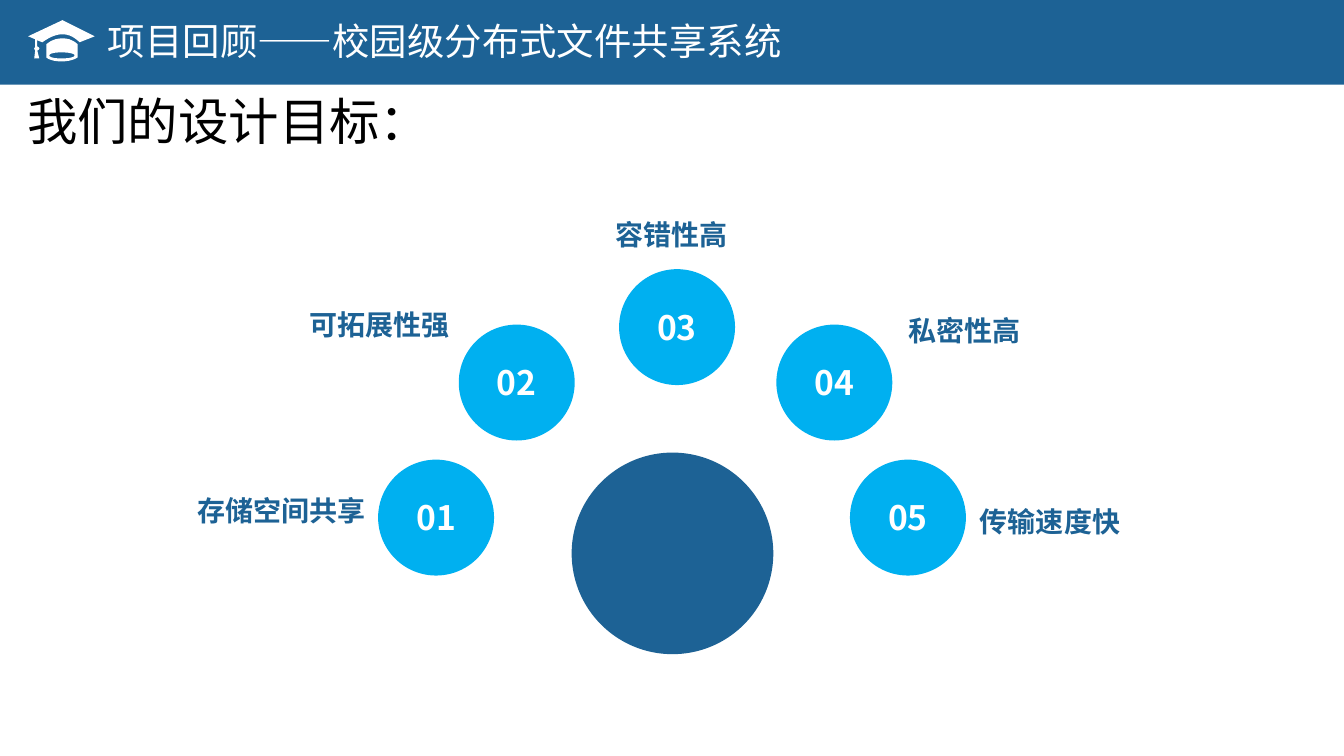
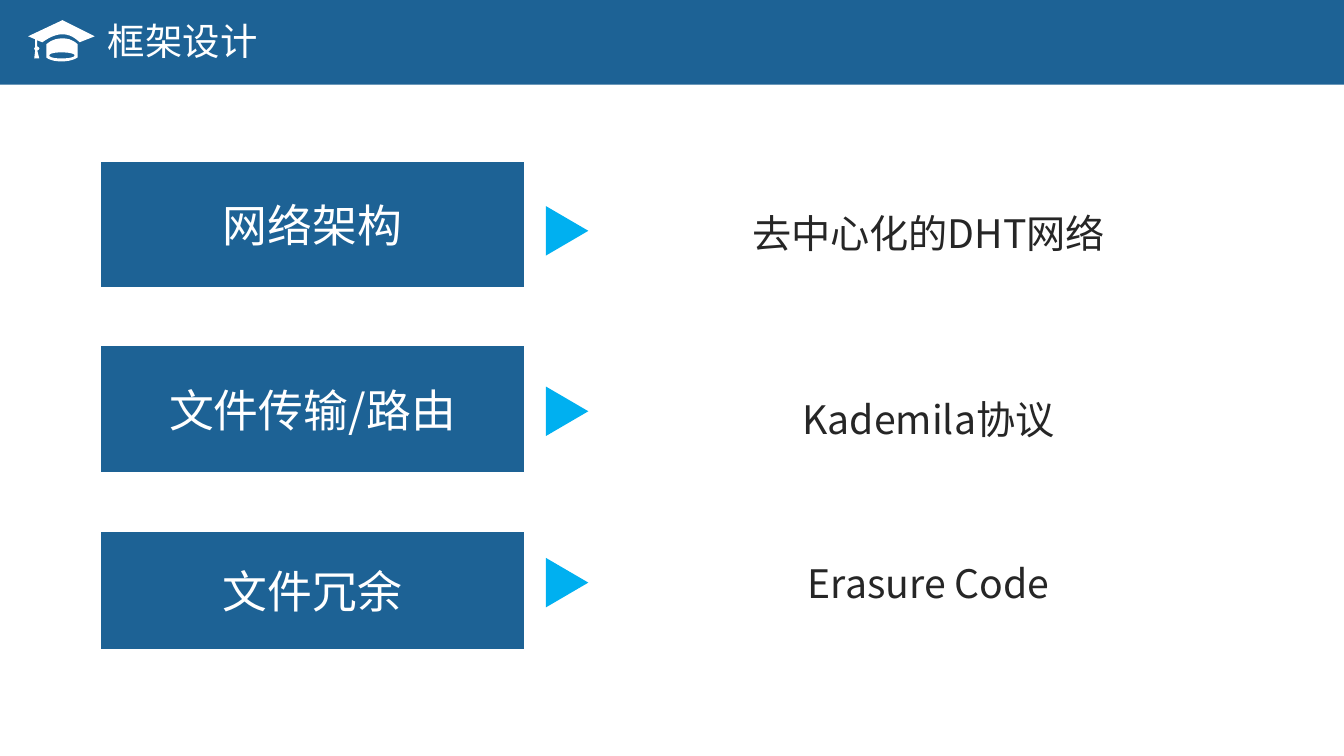
from dataclasses import dataclass

from lxml import etree
from pptx import Presentation
from pptx.dml.color import RGBColor
from pptx.enum.shapes import MSO_SHAPE as Shape
from pptx.enum.text import MSO_ANCHOR as Anchor, PP_ALIGN as Align
from pptx.oxml.ns import qn
from pptx.util import Inches, Pt


@dataclass(frozen=True)
class Theme:
    font: str = "Noto Sans CJK SC"
    navy: str = "1D6295"
    sky: str = "00B0F0"
    white: str = "FFFFFF"
    black: str = "000000"
    ink: str = "262626"
    title: float = 26.7
    heading: float = 36
    topic: float = 32
    answer: float = 28
    number: float = 24
    label: float = 20


theme = Theme()


def add_shape(page, kind, left, top, width, height, color):
    shape = page.shapes.add_shape(
        kind, Inches(left), Inches(top), Inches(width), Inches(height))
    shape.shadow.inherit = False
    shape.fill.solid()
    shape.fill.fore_color.rgb = RGBColor.from_string(color)
    shape.line.fill.background()
    return shape


def add_text(page, text, area, size, color, align=Align.LEFT, bold=False,
             inset=True, spacing=1.0, before=0, anchor=Anchor.TOP):
    box = page.shapes.add_textbox(*[Inches(length) for length in area])
    frame = box.text_frame
    frame.word_wrap = True
    frame.vertical_anchor = anchor
    if not inset:
        frame.margin_left = frame.margin_right = 0
        frame.margin_top = frame.margin_bottom = 0
    para = frame.paragraphs[0]
    para.alignment = align
    para.line_spacing = spacing
    para.space_before = Pt(before)
    span = para.add_run()
    span.text = text
    span.font.size = Pt(size)
    span.font.bold = bold
    span.font.name = theme.font
    span.font.color.rgb = RGBColor.from_string(color)
    # East Asian glyphs take their own typeface
    east_asian = etree.SubElement(span.font._element, qn("a:ea"))
    east_asian.set("typeface", theme.font)


deck = Presentation()
deck.slide_width, deck.slide_height = Inches(13.33), Inches(7.5)

# Graduation cap, in hundredths of an inch: points, or cubic curves of six numbers
cap_contours = [
    [(79, 42), (79, 42, 72, 34, 62, 34), (52, 34, 42, 42, 42, 42),
     (37, 40), (37, 46), (38, 47, 39, 47, 39, 48), (39, 49, 38, 50, 37, 50),
     (39, 58), (34, 58), (35, 50), (35, 50, 34, 49, 34, 48),
     (34, 48, 35, 47, 35, 46), (35, 39), (28, 36), (62, 20), (94, 36)],
    [(62, 38), (72, 38, 77, 44, 77, 44), (77, 57), (77, 57, 72, 61, 61, 61),
     (50, 61, 46, 57, 46, 57), (46, 44), (46, 44, 52, 38, 62, 38)],
    [(61, 58), (68, 58, 74, 57, 74, 55), (74, 53, 68, 52, 61, 52),
     (54, 52, 49, 53, 49, 55), (49, 57, 54, 58, 61, 58)],
]
curve_steps = 8
cap_outlines = []
for contour in cap_contours:
    outline = [contour[0]]
    for part in contour[1:]:
        if len(part) == 2:
            outline.append(part)
            continue
        nodes = [outline[-1], part[:2], part[2:4], part[4:]]
        for step in range(1, curve_steps + 1):
            t = step / curve_steps
            weights = ((1 - t) ** 3, 3 * t * (1 - t) ** 2, 3 * t * t * (1 - t), t ** 3)
            outline.append(tuple(
                sum(w * node[axis] for w, node in zip(weights, nodes)) for axis in (0, 1)))
    cap_outlines.append([(x * 10, y * 10) for x, y in outline])

# Shared header: band, title and cap
pages = []
for title in ("项目回顾——校园级分布式文件共享系统", "框架设计"):
    page = deck.slides.add_slide(deck.slide_layouts[6])
    add_shape(page, Shape.RECTANGLE, 0, 0, 13.33, 0.84, theme.navy)
    add_text(page, title, (0.97, 0.13, 8.62, 0.55), theme.title, theme.white)
    builder = page.shapes.build_freeform(*cap_outlines[0][0], scale=Inches(1) / 1000)
    for index, outline in enumerate(cap_outlines):
        if index:
            builder.move_to(*outline[0])
        builder.add_line_segments(outline[1:], close=True)
    cap = builder.convert_to_shape()
    cap.shadow.inherit = False
    cap.fill.solid()
    cap.fill.fore_color.rgb = RGBColor.from_string(theme.white)
    cap.line.fill.background()
    pages.append(page)
goals_page, design_page = pages

# Design goals: five numbered circles around a hub
add_text(goals_page, "我们的设计目标：", (0.17, 0.84, 10.87, 0.71), theme.heading, theme.black)
add_shape(goals_page, Shape.OVAL, 5.67, 4.49, 2, 2, theme.navy)
goals = [  # circle left and top, label, label left, top and width, alignment
    (3.75, 4.56, "存储空间共享", 1.96, 4.73, 1.75, Align.LEFT),
    (4.55, 3.22, "可拓展性强", 3.07, 2.88, 2.21, Align.LEFT),
    (6.14, 2.67, "容错性高", 5.35, 1.99, 2.62, Align.CENTER),
    (7.7, 3.22, "私密性高", 9.01, 2.94, 2.41, Align.LEFT),
    (8.43, 4.56, "传输速度快", 8.43, 4.84, 2.68, Align.RIGHT),
]
for number, (left, top, label, label_left, label_top, width, align) in enumerate(goals, 1):
    add_shape(goals_page, Shape.OVAL, left, top, 1.15, 1.15, theme.sky)
    add_text(goals_page, f"{number:02d}", (left + 0.17, top + 0.37, 0.81, 0.4),
             theme.number, theme.white, Align.CENTER, bold=True, inset=False)
    add_text(goals_page, label, (label_left, label_top, width, 0.45),
             theme.label, theme.navy, align, bold=True, inset=False, spacing=1.5)

# Framework design: topic, arrow, answer
choices = [  # topic, its top and height, arrow top, answer, its top
    ("网络架构", 1.6, 1.26, 2.08, "去中心化的DHT网络", 1.79),
    ("文件传输/路由", 3.43, 1.26, 3.87, "Kademila协议", 3.64),
    ("文件冗余", 5.27, 1.18, 5.57, "Erasure Code", 5.27),
]
for topic, top, height, arrow_top, answer, answer_top in choices:
    panel = add_shape(design_page, Shape.RECTANGLE, 1, top, 4.2, height, theme.navy)
    panel.line.color.rgb = RGBColor.from_string(theme.white)
    panel.line.width = Pt(1)
    add_text(design_page, topic, (1, top, 4.2, height), theme.topic, theme.white,
             Align.CENTER, anchor=Anchor.MIDDLE)
    arrow = add_shape(design_page, Shape.ISOSCELES_TRIANGLE,
                      5.38, arrow_top, 0.49, 0.42, theme.sky)
    arrow.rotation = 90
    add_text(design_page, answer, (5.83, answer_top, 6.76, 0.93), theme.answer, theme.ink,
             Align.CENTER, spacing=1.5, before=4)

deck.save("out.pptx")
